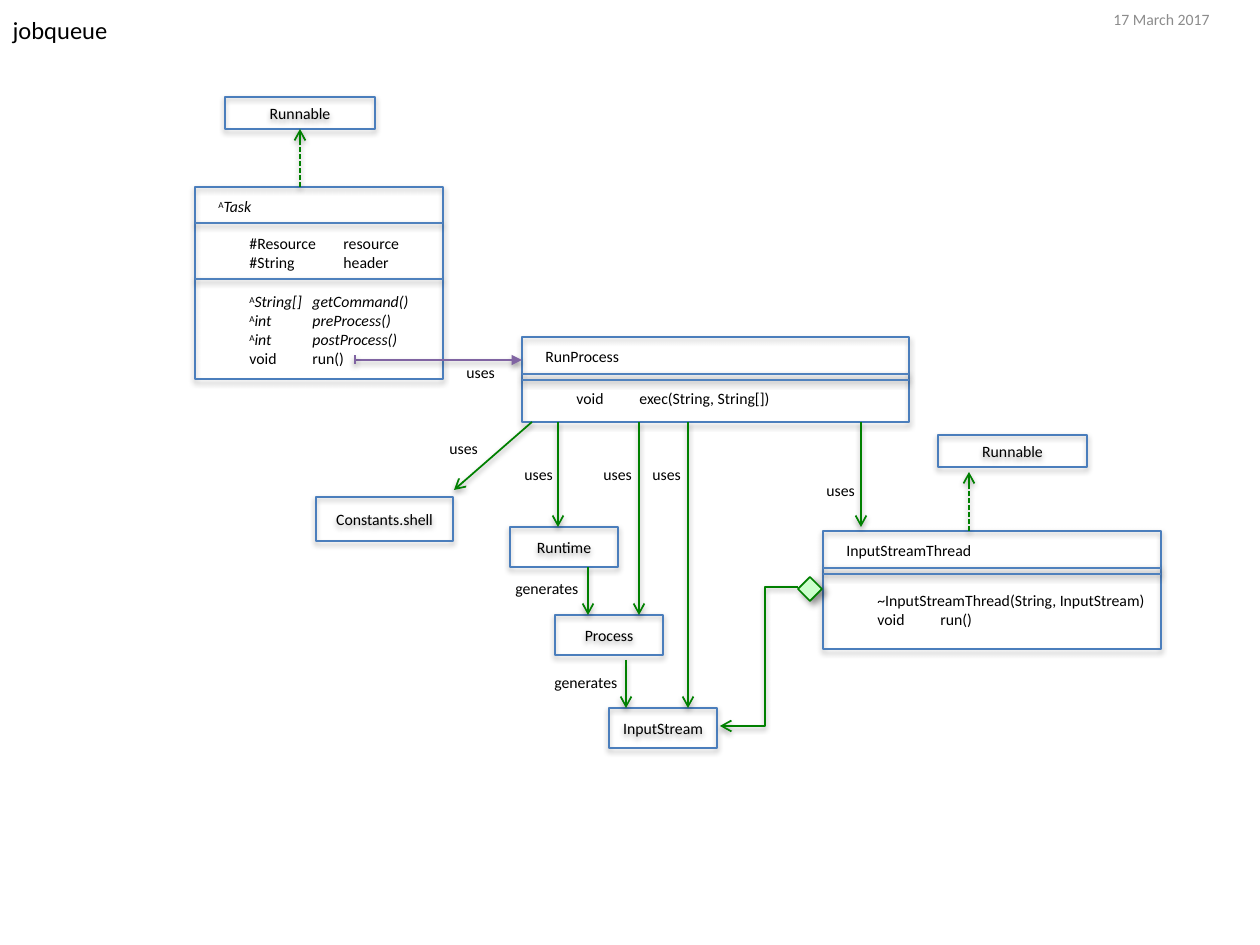
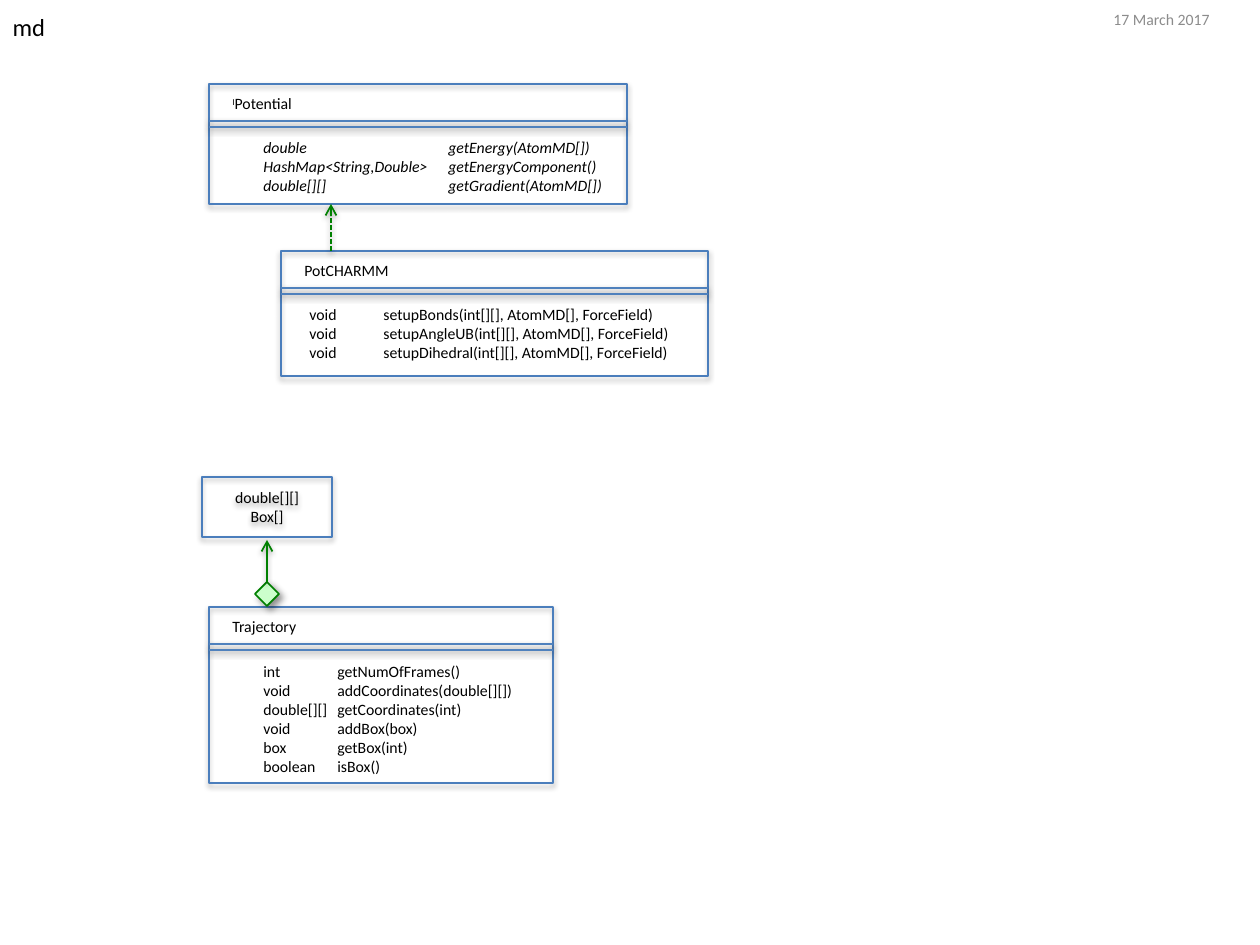
from lxml import etree
from pptx import Presentation
from pptx.dml.color import RGBColor
from pptx.enum.dml import MSO_LINE
from pptx.enum.shapes import MSO_CONNECTOR, MSO_SHAPE
from pptx.enum.text import MSO_ANCHOR, MSO_AUTO_SIZE, PP_ALIGN
from pptx.oxml.ns import qn
from pptx.util import Emu, Pt

STRAIGHT = MSO_CONNECTOR.STRAIGHT
RECT, DIAMOND = MSO_SHAPE.RECTANGLE, MSO_SHAPE.DIAMOND
DASH = MSO_LINE.SQUARE_DOT
TOP, MIDDLE = MSO_ANCHOR.TOP, MSO_ANCHOR.MIDDLE
LEFT, CENTER = PP_ALIGN.LEFT, PP_ALIGN.CENTER
NO_FIT = MSO_AUTO_SIZE.NONE

FONT = "Calibri"
BLACK, GREY = "000000", "8C8C8C"
BOX_BLUE, RULE_BLUE = "4B7EBC", "4F81BD"
GREEN, PALE_GREEN, PURPLE = "008000", "CCFFCC", "8064A2"
BOX_SHADOW = (35, 40000, 23000, 90)
LINE_SHADOW = (38, 40000, 20000, 90)
DIAMOND_SHADOW = (43, 50800, 38100, 45)
TITLE_H, LABEL_H = 43, 31
RULES = (37, 43)
LABEL_W = {"uses": 54, "generates": 89}


def px(n):
    return Emu(round(n * 914400 / 126))


def rgb(color):
    return RGBColor.from_string(color)


def add_shadow(shape, shadow):
    alpha, blur, dist, angle = shadow
    spPr = shape._element.spPr
    effects = spPr.find(qn("a:effectLst"))
    if effects is None:
        effects = etree.SubElement(spPr, qn("a:effectLst"))
    outer = etree.SubElement(effects, qn("a:outerShdw"), blurRad=str(blur),
                             dist=str(dist), dir=str(angle * 60000), rotWithShape="0")
    color = etree.SubElement(outer, qn("a:srgbClr"), val=BLACK)
    etree.SubElement(color, qn("a:alpha"), val=str(alpha * 1000))


def style_line(shape, color, dash=None, head=None):
    shape.line.color.rgb = rgb(color)
    shape.line.width = Pt(1)
    if dash:
        shape.line.dash_style = dash
    if head:
        ln = shape._element.spPr.find(qn("a:ln"))
        etree.SubElement(ln, qn("a:tailEnd"), type=head)


def write(shape, rows, size=9, color=BLACK, align=LEFT, anchor=TOP, wrap=True, tab=None):
    tf = shape.text_frame
    tf.word_wrap = wrap
    tf.auto_size = NO_FIT
    tf.vertical_anchor = anchor
    for i, row in enumerate(rows):
        p = tf.paragraphs[0] if i == 0 else tf.add_paragraph()
        p.alignment = align
        if tab:
            tabs = etree.SubElement(p._p.get_or_add_pPr(), qn("a:tabLst"))
            etree.SubElement(tabs, qn("a:tab"), pos=str(px(tab)), algn="l")
        runs = [(row, "")] if isinstance(row, str) else row
        for text, style in runs:
            r = p.add_run()
            r.text = text
            r.font.name = FONT
            r.font.size = Pt(size)
            r.font.color.rgb = rgb(color)
            if style == "italic":
                r.font.italic = True
            elif style == "super":
                r._r.get_or_add_rPr().set("baseline", "30000")


def add_text(s, x, y, w, h, rows, **options):
    write(s.shapes.add_textbox(px(x), px(y), px(w), px(h)), rows, **options)


def add_label(s, text, x, y):
    add_text(s, x, y, LABEL_W[text], LABEL_H, [text], wrap=False)


def add_box(s, x, y, w, h, rows=()):
    sp = s.shapes.add_shape(RECT, px(x), px(y), px(w), px(h))
    sp.shadow.inherit = False
    sp.fill.background()
    style_line(sp, BOX_BLUE)
    add_shadow(sp, BOX_SHADOW)
    write(sp, rows, align=CENTER, anchor=MIDDLE)
    return sp


def add_diamond(s, x, y, size=24):
    sp = s.shapes.add_shape(DIAMOND, px(x), px(y), px(size), px(size))
    sp.shadow.inherit = False
    sp.fill.solid()
    sp.fill.fore_color.rgb = rgb(PALE_GREEN)
    style_line(sp, GREEN)
    add_shadow(sp, DIAMOND_SHADOW)
    return sp


def add_line(s, x1, y1, x2, y2, color=GREEN, dash=None, head="arrow", start=None, end=None):
    line = s.shapes.add_connector(STRAIGHT, px(x1), px(y1), px(x2), px(y2))
    if start:
        line.begin_connect(*start)
    if end:
        line.end_connect(*end)
    style_line(line, color, dash, head)
    add_shadow(line, LINE_SHADOW)


def add_bent_arrow(s, points):
    first, *rest = [(px(x), px(y)) for x, y in points]
    builder = s.shapes.build_freeform(*first)
    builder.add_line_segments(rest, close=False)
    sp = builder.convert_to_shape()
    sp.shadow.inherit = False
    sp.fill.background()
    style_line(sp, GREEN, head="arrow")
    add_shadow(sp, LINE_SHADOW)


def add_class(s, x, y, w, h, name, name_w, sections, rules=RULES, indent=42):
    add_box(s, x, y, w, h)
    for rule in rules:
        add_line(s, x, y + rule, x + w, y + rule, RULE_BLUE, head=None)
    add_text(s, x + 11, y + 4, name_w, LABEL_H, [name], wrap=False)
    for top, tab, rows in sections:
        add_text(s, x + indent, y + top, w - indent, 12 + 19 * len(rows), rows, tab=tab)


def add_page(prs, title, y, w):
    s = prs.slides.add_slide(prs.slide_layouts[5])
    sp = s.shapes.title
    sp.left, sp.top, sp.width, sp.height = px(0), px(y), px(w), px(TITLE_H)
    write(sp, [title], size=14, wrap=False)
    add_text(s, 1101, 1, 159, 36, ["17 March 2017"], color=GREY, anchor=MIDDLE)
    return s


def abstract(text):
    return [("A", "super"), (text, "italic")]


def italic(text):
    return [(text, "italic")]


def build_jobqueue(prs):
    s = add_page(prs, "jobqueue", 9, 121)
    add_class(s, 823, 531, 338, 118, "InputStreamThread", 151, [
        (54, 63, ["~InputStreamThread(String, InputStream)", "void\trun()"])])
    add_class(s, 195, 187, 248, 192, abstract("Task"), 64, [
        (41, 94, ["#Resource\tresource", "#String\theader"]),
        (99, 63, [abstract("String[]\tgetCommand()"), abstract("int\tpreProcess()"),
                  abstract("int\tpostProcess()"), "void\trun()"])], rules=(36, 92))
    add_class(s, 522, 337, 387, 85, "RunProcess", 100, [
        (46, 63, ["void\texec(String, String[])"])])

    runnable = add_box(s, 225, 97, 150, 32, ["Runnable"])
    for name, x, y, w, h in [("Runnable", 938, 435, 149, 32),
                             ("Constants.shell", 316, 497, 137, 44),
                             ("Runtime", 510, 527, 108, 40),
                             ("Process", 555, 615, 108, 40),
                             ("InputStream", 609, 708, 108, 40)]:
        add_box(s, x, y, w, h, [name])

    add_line(s, 300, 187, 300, 129, dash=DASH, end=(runnable, 2))
    add_line(s, 969, 531, 969, 472, dash=DASH)
    add_line(s, 355, 360, 522, 360, PURPLE, head="triangle")
    add_line(s, 355, 364, 355, 355, PURPLE, head=None)
    add_line(s, 532, 422, 454, 490)
    for x, top, bottom in [(558, 422, 527), (861, 422, 527), (639, 422, 615),
                           (688, 422, 708), (588, 567, 615), (626, 660, 708)]:
        add_line(s, x, top, x, bottom)
    add_bent_arrow(s, [(798, 587), (765, 587), (765, 726), (720, 726)])
    add_diamond(s, 798, 577)

    for x, y in [(454, 357), (437, 433), (512, 459), (591, 459), (640, 459), (814, 475)]:
        add_label(s, "uses", x, y)
    for x, y in [(503, 573), (542, 667)]:
        add_label(s, "generates", x, y)


def build_md(prs):
    s = add_page(prs, "md", 6, 58)
    add_class(s, 209, 84, 418, 120, [("I", "super"), ("Potential", "")], 87, [
        (48, 185, [italic("double\tgetEnergy(AtomMD[])"),
                   italic("HashMap<String,Double>\tgetEnergyComponent()"),
                   italic("double[][]\tgetGradient(AtomMD[])")])])
    add_class(s, 281, 251, 427, 125, "PotCHARMM", 111, [
        (48, 74, [f"void\t{method}(int[][], AtomMD[], ForceField)"
                  for method in ("setupBonds", "setupAngleUB", "setupDihedral")])], indent=16)
    add_class(s, 209, 607, 344, 176, "Trajectory", 91, [
        (49, 74, ["int\tgetNumOfFrames()", "void\taddCoordinates(double[][])",
                  "double[][]\tgetCoordinates(int)", "void\taddBox(box)",
                  "box\tgetBox(int)", "boolean\tisBox()"])])
    add_box(s, 202, 477, 130, 60, ["double[][]", "Box[]"])
    add_line(s, 331, 251, 331, 204, dash=DASH)
    diamond = add_diamond(s, 255, 582)
    add_line(s, 267, 582, 267, 540, start=(diamond, 0))


def main():
    prs = Presentation()
    prs.slide_width, prs.slide_height = px(1260), px(945)
    build_jobqueue(prs)
    build_md(prs)
    prs.save("out.pptx")


if __name__ == "__main__":
    main()
